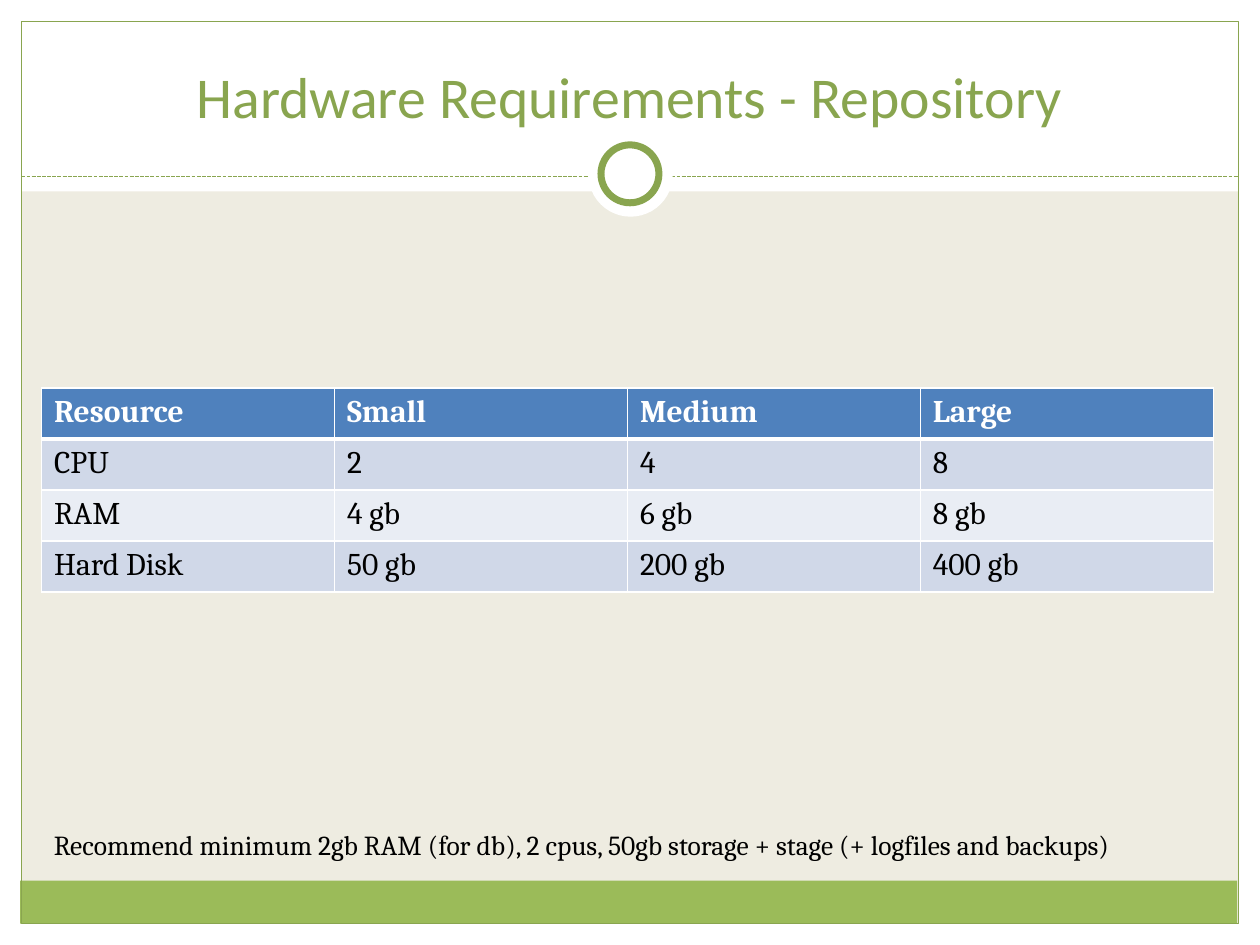
from dataclasses import dataclass
from typing import Optional

from lxml import etree
from pptx import Presentation
from pptx.dml.color import RGBColor
from pptx.enum import dml, shapes, text
from pptx.oxml import ns
from pptx.util import Inches, Pt


@dataclass(frozen=True)
class Theme:
    background: str = "EEECE1"
    white: str = "FFFFFF"
    black: str = "000000"
    green: str = "9BBB59"
    dark_green: str = "89A54F"
    header: str = "4F81BD"
    bands: tuple = ("D0D8E8", "E9EDF4")
    title_font: str = "Calibri"
    body_font: str = "Cambria"
    title_size: float = 33
    table_size: float = 18
    note_size: float = 15.7


@dataclass(frozen=True)
class Panel:
    left: float
    top: float
    width: float
    height: float
    fill: Optional[str] = None
    line_width: float = 0
    kind: shapes.MSO_SHAPE = shapes.MSO_SHAPE.RECTANGLE


THEME = Theme()
BARS = [
    Panel(0, 7.33, 10, 0.17, THEME.white),
    Panel(0, 0, 10, 1.52, THEME.white),
    Panel(0, 0, 0.17, 7.5, THEME.white),
    Panel(9.83, 0, 0.17, 7.5, THEME.white),
    Panel(0.16, 6.99, 9.66, 0.34, THEME.green),
    Panel(0.17, 0.17, 9.66, 7.16, line_width=0.75),
]
RINGS = [
    Panel(4.67, 1.05, 0.67, 0.67, THEME.white, kind=shapes.MSO_SHAPE.OVAL),
    Panel(4.77, 1.15, 0.46, 0.46, THEME.white, 4, shapes.MSO_SHAPE.OVAL),
]
REQUIREMENTS = [
    ("Resource", "Small", "Medium", "Large"),
    ("CPU", "2", "4", "8"),
    ("RAM", "4 gb", "6 gb", "8 gb"),
    ("Hard Disk", "50 gb", "200 gb", "400 gb"),
]


def rgb(color: str) -> RGBColor:
    return RGBColor.from_string(color)


def draw_panel(slide, panel: Panel) -> None:
    shape = slide.shapes.add_shape(panel.kind, Inches(panel.left), Inches(panel.top),
                                   Inches(panel.width), Inches(panel.height))
    shape.shadow.inherit = False
    if panel.fill:
        shape.fill.solid()
        shape.fill.fore_color.rgb = rgb(panel.fill)
    else:
        shape.fill.background()
    if panel.line_width:
        shape.line.color.rgb = rgb(THEME.dark_green)
        shape.line.width = Pt(panel.line_width)
    else:
        shape.line.fill.background()


def draw_divider(slide) -> None:
    divider = slide.shapes.add_connector(shapes.MSO_CONNECTOR.STRAIGHT, Inches(0.17), Inches(1.4),
                                         Inches(9.83), Inches(1.4))
    divider.line.color.rgb = rgb(THEME.dark_green)
    divider.line.width = Pt(0.75)
    divider.line.dash_style = dml.MSO_LINE.SQUARE_DOT
    etree.SubElement(divider.element.spPr, ns.qn("a:effectLst"))


def write(frame, words: str, font_name: str, size: float, color: str, bold: bool = False) -> None:
    frame.text = words
    font = frame.paragraphs[0].runs[0].font
    font.name, font.size, font.bold = font_name, Pt(size), bold
    font.color.rgb = rgb(color)


def add_text_frame(slide, left: float, top: float, width: float, height: float):
    frame = slide.shapes.add_textbox(Inches(left), Inches(top), Inches(width),
                                     Inches(height)).text_frame
    frame.word_wrap = True
    frame.vertical_anchor = text.MSO_ANCHOR.BOTTOM
    return frame


def set_borders(cell, top: float, bottom: float) -> None:
    """Give the cell white borders, 1 pt wide at the sides."""
    properties = cell._tc.get_or_add_tcPr()
    for position, (side, width) in enumerate(zip("LRTB", (1, 1, top, bottom))):
        border = etree.Element(ns.qn(f"a:ln{side}"), w=str(Pt(width)))
        fill = etree.SubElement(border, ns.qn("a:solidFill"))
        etree.SubElement(fill, ns.qn("a:srgbClr"), val=THEME.white)
        properties.insert(position, border)


def draw_requirements(slide) -> None:
    width, row_height = 9.3, 0.405
    row_count, column_count = len(REQUIREMENTS), len(REQUIREMENTS[0])
    table = slide.shapes.add_table(row_count, column_count, Inches(0.33), Inches(3.08),
                                   Inches(width), Inches(row_height * row_count)).table
    for column in table.columns:
        column.width = Inches(width / column_count)
    for row, entries in enumerate(REQUIREMENTS):
        is_header = row == 0
        for column, entry in enumerate(entries):
            cell = table.cell(row, column)
            write(cell.text_frame, entry, THEME.body_font, THEME.table_size,
                  THEME.white if is_header else THEME.black, is_header)
            cell.fill.solid()
            cell.fill.fore_color.rgb = rgb(THEME.header if is_header else THEME.bands[(row - 1) % 2])
            set_borders(cell, top=3 if row == 1 else 1, bottom=3 if is_header else 1)


def main() -> None:
    deck = Presentation()
    deck.slide_width, deck.slide_height = Inches(10), Inches(7.5)
    slide = deck.slides.add_slide(deck.slide_layouts[6])
    slide.background.fill.solid()
    slide.background.fill.fore_color.rgb = rgb(THEME.background)

    for bar in BARS:
        draw_panel(slide, bar)
    draw_divider(slide)
    for ring in RINGS:
        draw_panel(slide, ring)

    title = add_text_frame(slide, 0.33, 0.25, 9.33, 0.83)
    write(title, "Hardware Requirements - Repository", THEME.title_font, THEME.title_size,
          THEME.dark_green)
    title.paragraphs[0].alignment = text.PP_ALIGN.CENTER

    draw_requirements(slide)

    note = add_text_frame(slide, 0.33, 4.75, 9.3, 2.08)
    note.margin_bottom = Inches(0)
    write(note, "Recommend minimum 2gb RAM (for db), 2 cpus, 50gb storage + stage "
                "(+ logfiles and backups)", THEME.body_font, THEME.note_size, THEME.black)

    deck.save("out.pptx")


if __name__ == "__main__":
    main()
